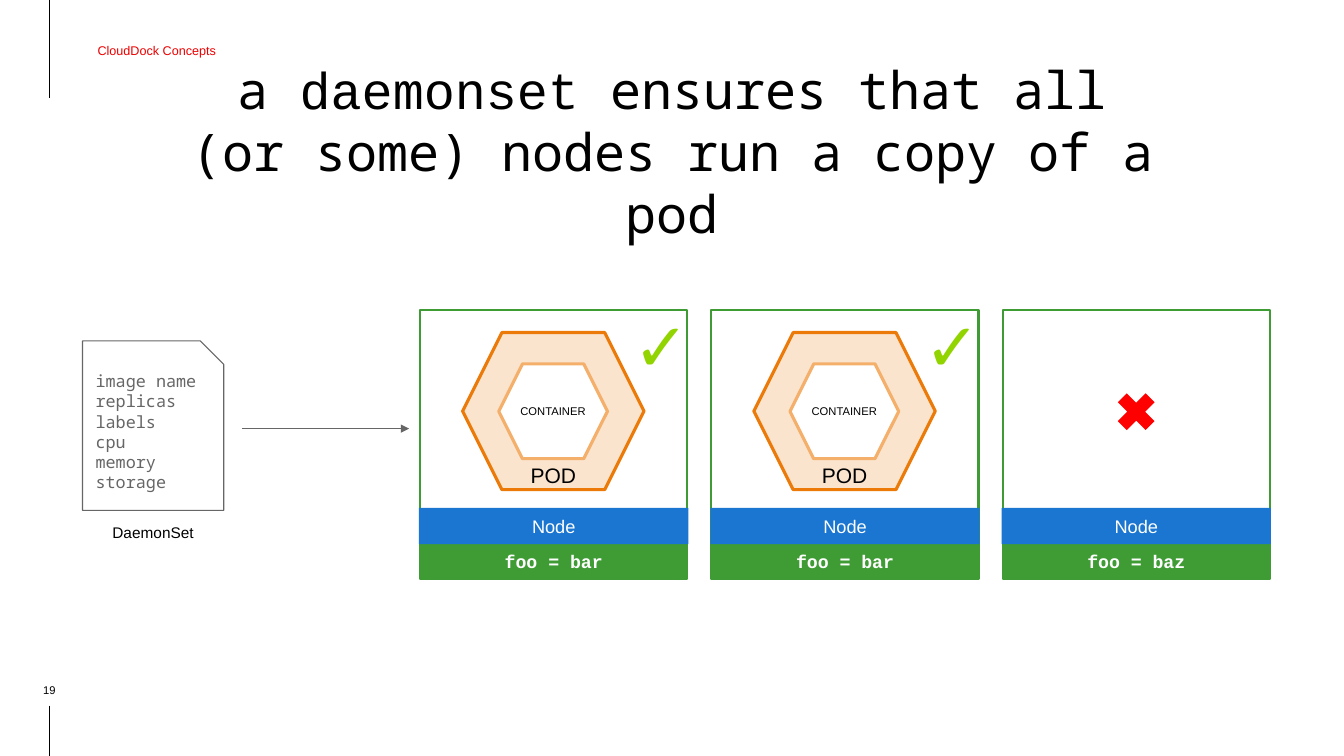
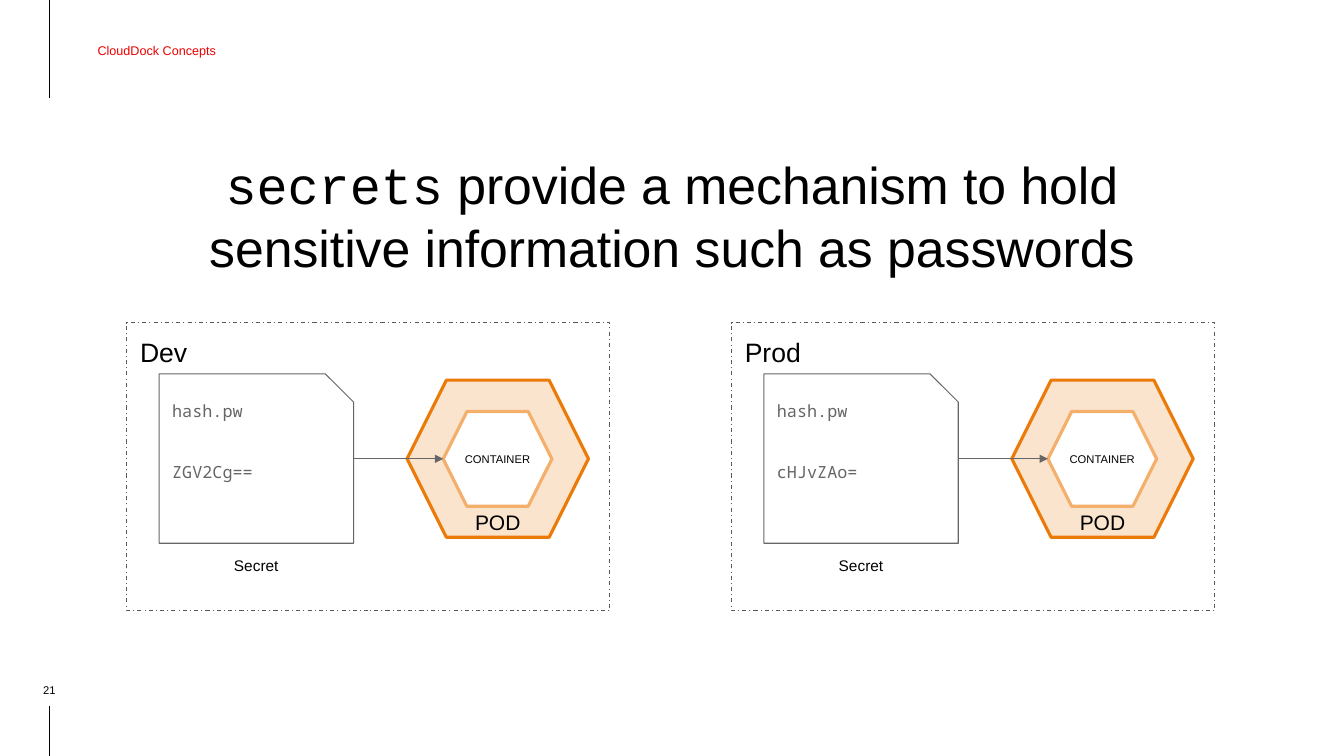
from pptx import Presentation
from pptx.dml.color import RGBColor
from pptx.enum.dml import MSO_LINE
from pptx.enum.shapes import MSO_CONNECTOR, MSO_SHAPE
from pptx.enum.text import MSO_ANCHOR, MSO_AUTO_SIZE, PP_ALIGN
from pptx.oxml.ns import qn
from pptx.util import Cm, Pt
from lxml import etree

RECT, HEXAGON = MSO_SHAPE.RECTANGLE, MSO_SHAPE.HEXAGON
SNIPPED, CROSS = MSO_SHAPE.SNIP_1_RECTANGLE, MSO_SHAPE.MATH_MULTIPLY
STRAIGHT, DASH_DOT = MSO_CONNECTOR.STRAIGHT, MSO_LINE.DASH_DOT
TOP, MIDDLE, BOTTOM = MSO_ANCHOR.TOP, MSO_ANCHOR.MIDDLE, MSO_ANCHOR.BOTTOM
LEFT, CENTER = PP_ALIGN.LEFT, PP_ALIGN.CENTER
NO_FIT = MSO_AUTO_SIZE.NONE

SANS, CODE, MONO, MARK = "Arial", "Courier New", "Noto Sans Mono", "Lato"
BLACK, WHITE, RED, GREY = "000000", "FFFFFF", "EE0000", "666666"
GREEN, BLUE, BRIGHT_RED, LIME = "3F9C35", "1A76D1", "FF0000", "92D400"
ORANGE, PALE_ORANGE, SOFT_ORANGE, DARK_GREY = "EC7A08", "FBE4CE", "F4AF6B", "595959"

SECTION = "CloudDock Concepts"
INSET = 0.33

DAEMON_TITLE = [("a ", MONO), ("daemonset", CODE),
                (" ensures that all\v(or some) nodes run a copy of a pod", MONO)]
DAEMON_FIELDS = ["image name", "replicas", "labels", "cpu", "memory", "storage"]
NODES = [("foo = bar", True), ("foo = bar", True), ("foo = baz", False)]

SECRET_TITLE = [("secrets", CODE),
                (" provide a mechanism to hold sensitive information such as passwords", SANS)]
STAGES = [("Dev", ["hash.pw", "ZGV2Cg=="]), ("Prod", ["hash.pw", "cHJvZAo="])]


def colour(value):
    return RGBColor.from_string(value)


def write(shape, paragraphs, size, ink=BLACK, align=CENTER, anchor=MIDDLE,
          inset=INSET, bold=False, leading=None, gap=0):
    frame = shape.text_frame
    frame.word_wrap = True
    frame.auto_size = NO_FIT
    frame.vertical_anchor = anchor
    frame.margin_left = frame.margin_right = Cm(inset)
    frame.margin_top = frame.margin_bottom = Cm(inset)
    for index, runs in enumerate(paragraphs):
        para = frame.paragraphs[0] if index == 0 else frame.add_paragraph()
        para.alignment = align
        if leading:
            para.line_spacing = Pt(leading)
        if index and gap:
            para.space_before = Pt(gap)
        for text, font in runs:
            for part_index, part in enumerate(text.split("\v")):
                if part_index:
                    para.add_line_break()
                span = para.add_run()
                span.text = part
                span.font.name = font
                span.font.size = Pt(size)
                span.font.bold = bold
                span.font.color.rgb = colour(ink)


def add_label(page, area, text, size, font=SANS, **style):
    box = page.shapes.add_textbox(*map(Cm, area))
    write(box, [[(text, font)]], size, **style)
    return box


def add_figure(page, kind, area, fill=None, line=None, width=0.75):
    figure = page.shapes.add_shape(kind, *map(Cm, area))
    figure.shadow.inherit = False
    if fill:
        figure.fill.solid()
        figure.fill.fore_color.rgb = colour(fill)
    else:
        figure.fill.background()
    if line:
        figure.line.color.rgb = colour(line)
        figure.line.width = Pt(width)
    else:
        figure.line.fill.background()
    return figure


def add_line(page, start, end, ink, arrow=False):
    line = page.shapes.add_connector(STRAIGHT, *map(Cm, start + end))
    line.line.color.rgb = colour(ink)
    line.line.width = Pt(0.75)
    properties = line._element.spPr
    if arrow:
        etree.SubElement(properties.find(qn("a:ln")), qn("a:tailEnd"), type="triangle")
    etree.SubElement(properties, qn("a:effectLst"))


def add_page(deck, number, title, title_top):
    page = deck.slides.add_slide(deck.slide_layouts[5])
    for top, bottom in ((0, 2.46), (17.78, 19.05)):
        add_line(page, (1.24, top), (1.24, bottom), BLACK)
    section = add_label(page, (1.24, 0.15, 14.3, 2.26), SECTION, 9, ink=RED,
                        align=LEFT, inset=0.25)
    section.text_frame.margin_left = Cm(1.22)
    add_label(page, (0.23, 17.15, 2.03, 0.41), number, 8, anchor=BOTTOM, inset=0)
    heading = page.shapes.title
    heading.left, heading.top = Cm(3.07), Cm(title_top)
    heading.width, heading.height = Cm(27.74), Cm(3.94)
    write(heading, [title], 37, anchor=BOTTOM, leading=44.4)
    return page


def add_document(page, area, lines, caption, anchor, gap=0, overhang=0):
    left, top, width, height = area
    sheet = add_figure(page, SNIPPED, area, WHITE, GREY)
    write(sheet, [[(line, MONO)] for line in lines], 12, GREY, LEFT, anchor,
          leading=14.4, gap=gap)
    add_label(page, (left - overhang, top + height, width + 2 * overhang, 0.81),
              caption, 11, anchor=TOP)


def add_pod(page, left, top):
    add_figure(page, HEXAGON, (left, top, 4.57, 3.96), PALE_ORANGE, ORANGE, 2.25)
    add_label(page, (left, top + 3.18, 4.57, 0.8), "POD", 15, inset=0)
    container = add_figure(page, HEXAGON, (left + 0.91, top + 0.79, 2.74, 2.39),
                           WHITE, SOFT_ORANGE, 2.25)
    write(container, [[("CONTAINER", SANS)]], 8, inset=0)


def add_node(page, left, label, runs_pod):
    top, width = 7.82, 6.73
    add_figure(page, RECT, (left, top, width, 6.78), line=GREEN, width=1.5)
    strip = add_figure(page, RECT, (left, top + 5.87, width, 0.91), GREEN)
    write(strip, [[(label, CODE)]], 13, WHITE, bold=True)
    band = add_figure(page, RECT, (left - 0.03, top + 4.98, width + 0.06, 0.91), BLUE)
    write(band, [[("Node", SANS)]], 13, WHITE)
    if runs_pod:
        add_pod(page, left + 1.07, top + 0.56)
        add_label(page, (left + 5.05, top - 0.48, 1.7, 1.7), "✓", 48, MARK,
                  ink=LIME, anchor=TOP, bold=True)
    else:
        add_figure(page, CROSS, (left + (width - 1.35) / 2, top + 1.88, 1.35, 1.35),
                   BRIGHT_RED)


def add_stage(page, left, name, lines):
    top = 8.13
    frame = add_figure(page, RECT, (left, top, 12.17, 7.26), line=DARK_GREY)
    frame.line.dash_style = DASH_DOT
    write(frame, [[(name, SANS)]], 19, align=LEFT, anchor=TOP)
    sheet_left, pod_left, middle = left + 0.81, left + 7.06, top + 3.43
    add_document(page, (sheet_left, top + 1.29, 4.9, 4.27), lines, "Secret", TOP, gap=28.8)
    add_pod(page, pod_left, middle - 1.98)
    add_line(page, (sheet_left + 4.9, middle), (pod_left + 0.91, middle), GREY, arrow=True)


def main():
    deck = Presentation()
    deck.slide_width, deck.slide_height = Cm(33.87), Cm(19.05)

    page = add_page(deck, "19", DAEMON_TITLE, 2.54)
    add_document(page, (2.08, 8.59, 3.56, 4.27), DAEMON_FIELDS, "DaemonSet", MIDDLE,
                 overhang=0.5)
    add_line(page, (6.1, 10.8), (10.31, 10.8), GREY, arrow=True)
    for index, (label, runs_pod) in enumerate(NODES):
        add_node(page, 10.59 + index * 7.34, label, runs_pod)

    page = add_page(deck, "21", SECRET_TITLE, 3.38)
    for index, (name, lines) in enumerate(STAGES):
        add_stage(page, 3.2 + index * 15.24, name, lines)

    deck.save("out.pptx")


if __name__ == "__main__":
    main()
